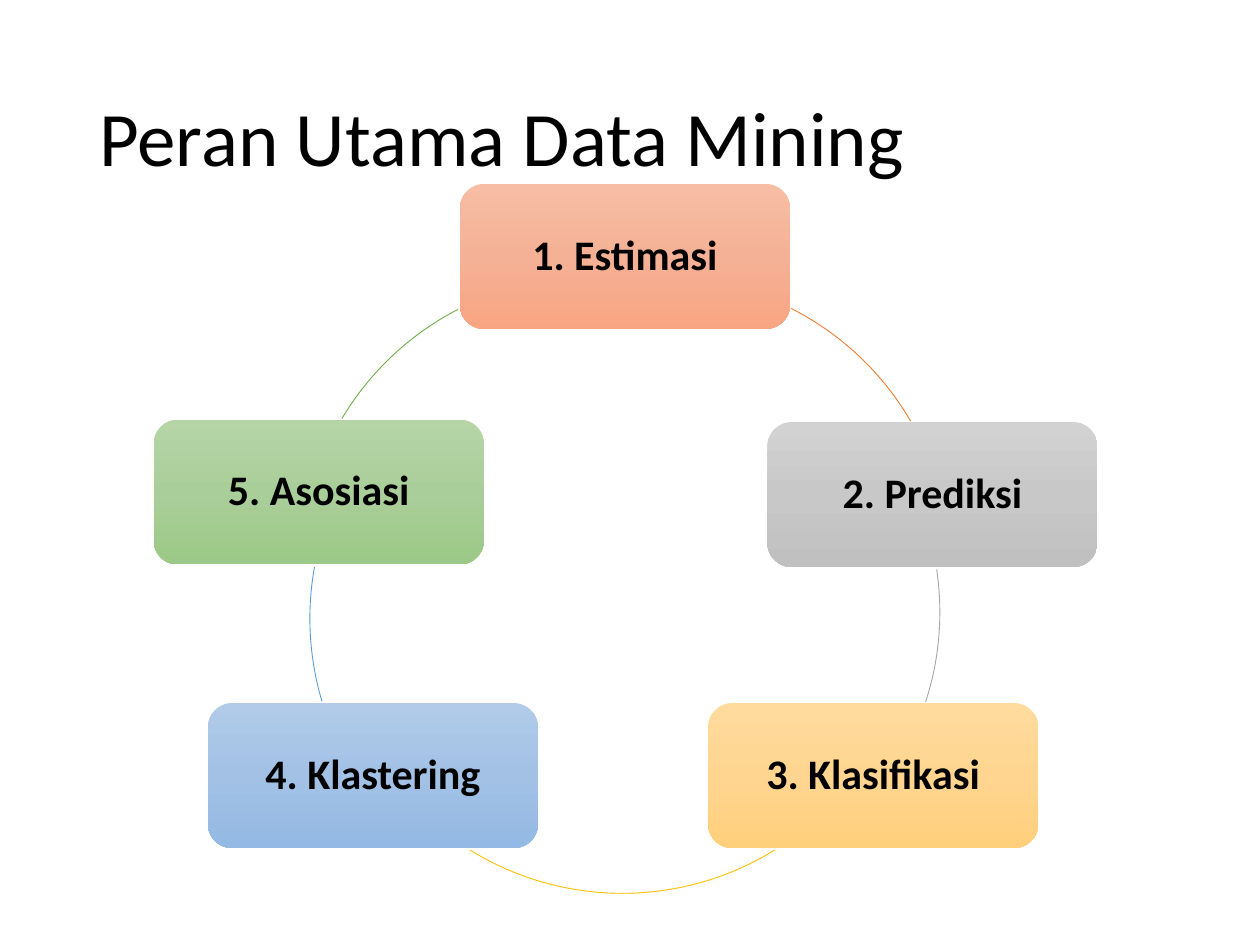
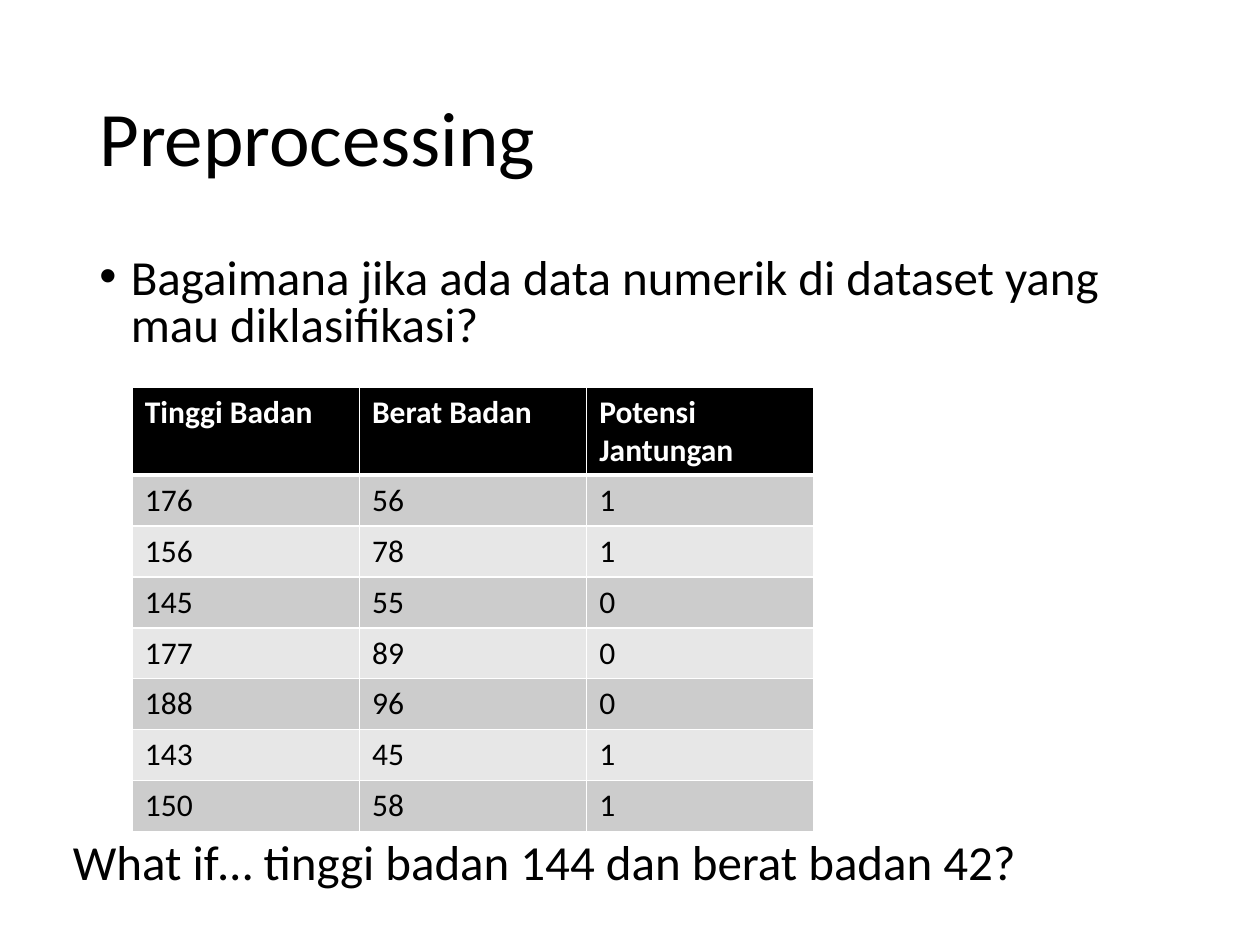
from copy import deepcopy

from lxml import etree
from pptx import Presentation
from pptx.dml.color import RGBColor
from pptx.enum.shapes import MSO_SHAPE
from pptx.enum.text import MSO_ANCHOR, PP_ALIGN
from pptx.oxml.ns import qn
from pptx.util import Inches, Pt

ROUNDED = MSO_SHAPE.ROUNDED_RECTANGLE
ARC = MSO_SHAPE.ARC
MIDDLE = MSO_ANCHOR.MIDDLE
TOP = MSO_ANCHOR.TOP
LEFT = PP_ALIGN.LEFT
CENTER = PP_ALIGN.CENTER

FONT = "Calibri"
BLACK = "000000"
WHITE = "FFFFFF"
BAND_COLORS = ("CCCCCC", "E7E7E7")
TITLE_BOX = (0.69, 0.4, 8.62, 1.45)

NODE_SIZE = (2.62, 1.15)
RING_SIZE = 4.6
ROLES = [
    ("1. Estimasi", (2.43, 0), ("F7BDA5", "F5B196", "F8A582"),
     (1.72, 0.74), (296.9, 329.8), "ED7D31"),
    ("2. Prediksi", (4.87, 1.89), ("D2D2D2", "C8C8C8", "C0C0C0"),
     (1.64, 1.1), (351.5, 18), "A5A5A5"),
    ("3. Klasifikasi", (4.4, 4.12), ("FFDB9E", "FFD590", "FFD07C"),
     (1.42, 1.03), (58.3, 121.7), "FFC000"),
    ("4. Klastering", (0.43, 4.12), ("B1CBE9", "A3C1E5", "93B9E4"),
     (1.24, 1.15), (163.4, 190.2), "5B9BD5"),
    ("5. Asosiasi", (0, 1.87), ("B5D5A7", "AACE9A", "9CC987"),
     (1.17, 0.74), (210.8, 242.7), "70AD47"),
]

HEADERS = ("Tinggi Badan", "Berat Badan", "Potensi Jantungan")
PATIENTS = [
    (176, 56, 1),
    (156, 78, 1),
    (145, 55, 0),
    (177, 89, 0),
    (188, 96, 0),
    (143, 45, 1),
    (150, 58, 1),
]


def color(value):
    return RGBColor.from_string(value)


def inches(values):
    return [Inches(value) for value in values]


def write_text(frame, text, size=28, fill=BLACK, bold=False, align=LEFT,
               anchor=TOP, line_spacing=None, space_before=None):
    frame.word_wrap = True
    frame.vertical_anchor = anchor
    paragraph = frame.paragraphs[0]
    paragraph.alignment = align
    if line_spacing:
        paragraph.line_spacing = line_spacing
    if space_before:
        paragraph.space_before = Pt(space_before)
    run = paragraph.add_run()
    run.text = text
    run.font.name = FONT
    run.font.size = Pt(size)
    run.font.bold = bold
    run.font.color.rgb = color(fill)
    return paragraph


def add_text(slide, box, text, **text_format):
    shape = slide.shapes.add_textbox(*inches(box))
    return write_text(shape.text_frame, text, **text_format)


def add_bullet(paragraph):
    properties = paragraph._p.get_or_add_pPr()
    properties.set("marL", str(Inches(0.25)))
    properties.set("indent", str(Inches(-0.25)))
    font = etree.SubElement(properties, qn("a:buFont"))
    font.set("typeface", "Arial")
    etree.SubElement(properties, qn("a:buChar")).set("char", "•")


def fill_gradient(shape, colors):
    shape.fill.gradient()
    shape.fill.gradient_angle = 270
    stop_list = shape._element.spPr.find(".//" + qn("a:gsLst"))
    stop_list.insert(1, deepcopy(stop_list[0]))
    for index, stop in enumerate(shape.fill.gradient_stops):
        stop.position = index / 2
        stop.color.rgb = color(colors[index])


def add_titled_slide(presentation, title):
    slide = presentation.slides.add_slide(presentation.slide_layouts[6])
    add_text(slide, TITLE_BOX, title, size=44, anchor=MIDDLE, line_spacing=0.9)
    return slide


def add_node(slide, left, top, label, colors):
    node = slide.shapes.add_shape(ROUNDED, *inches((left, top, *NODE_SIZE)))
    node.shadow.inherit = False
    node.line.fill.background()
    fill_gradient(node, colors)
    write_text(node.text_frame, label, size=24, bold=True, align=CENTER,
               anchor=MIDDLE, line_spacing=0.9)


def add_arc(slide, left, top, angles, line_color):
    arc = slide.shapes.add_shape(ARC, *inches((left, top, RING_SIZE, RING_SIZE)))
    arc.shadow.inherit = False
    arc.fill.background()
    arc.line.color.rgb = color(line_color)
    arc.line.width = Pt(0.5)
    for index, angle in enumerate(angles):
        arc.adjustments[index] = angle * 0.6


def add_role_cycle(slide, left, top):
    for label, node, colors, ring, angles, line_color in ROLES:
        add_node(slide, left + node[0], top + node[1], label, colors)
        add_arc(slide, left + ring[0], top + ring[1], angles, line_color)


def set_borders(cell, bottom_width):
    properties = cell._tc.get_or_add_tcPr()
    widths = {"lnL": 1, "lnR": 1, "lnT": 1, "lnB": bottom_width}
    for index, (side, width) in enumerate(widths.items()):
        line = etree.Element(qn("a:" + side), w=str(Pt(width)))
        fill = etree.SubElement(line, qn("a:solidFill"))
        etree.SubElement(fill, qn("a:srgbClr"), val=WHITE)
        properties.insert(index, line)


def add_patient_table(slide, box, header_height=0.7):
    rows = [HEADERS, *PATIENTS]
    table = slide.shapes.add_table(len(rows), len(HEADERS), *inches(box)).table
    for column in table.columns:
        column.width = Inches(box[2] / len(HEADERS))
    row_height = (box[3] - header_height) / len(PATIENTS)
    for row_index, values in enumerate(rows):
        is_header = row_index == 0
        table.rows[row_index].height = Inches(header_height if is_header else row_height)
        background = BLACK if is_header else BAND_COLORS[(row_index - 1) % 2]
        for column_index, value in enumerate(values):
            cell = table.cell(row_index, column_index)
            cell.fill.solid()
            cell.fill.fore_color.rgb = color(background)
            write_text(cell.text_frame, str(value), size=18, bold=is_header,
                       fill=WHITE if is_header else BLACK)
            set_borders(cell, 3 if is_header else 1)


def build_roles_slide(presentation):
    slide = add_titled_slide(presentation, "Peran Utama Data Mining")
    add_role_cycle(slide, 1.22, 1.46)


def build_preprocessing_slide(presentation):
    slide = add_titled_slide(presentation, "Preprocessing")
    question = add_text(
        slide, (0.69, 2, 8.62, 0.92),
        "Bagaimana jika ada data numerik di dataset yang mau diklasifikasi?",
        line_spacing=0.8, space_before=10)
    add_bullet(question)
    add_patient_table(slide, (1.05, 3.07, 5.41, 3.53))
    add_text(slide, (0.48, 6.6, 8.62, 0.92),
             "What if… tinggi badan 144 dan berat badan 42?",
             line_spacing=0.9, space_before=10)


def main():
    presentation = Presentation()
    presentation.slide_width = Inches(10)
    presentation.slide_height = Inches(7.5)
    build_roles_slide(presentation)
    build_preprocessing_slide(presentation)
    presentation.save("out.pptx")


if __name__ == "__main__":
    main()
